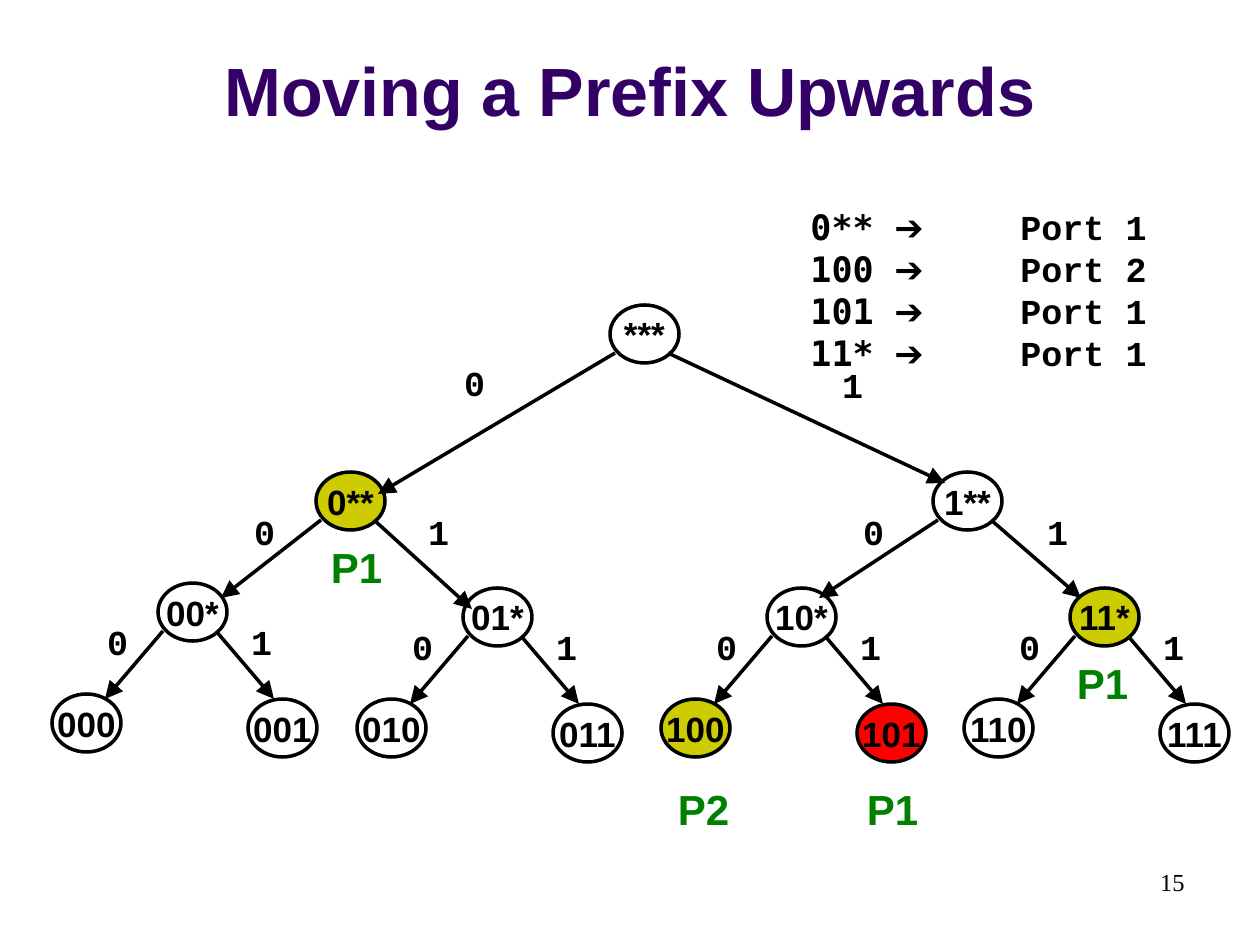
from lxml.etree import SubElement
from pptx import Presentation
from pptx.dml.color import RGBColor
from pptx.enum.shapes import MSO_CONNECTOR, MSO_SHAPE
from pptx.enum.text import MSO_ANCHOR, MSO_AUTO_SIZE, PP_ALIGN
from pptx.oxml.ns import qn
from pptx.util import Pt

PX = 914400 / 126

THEME = {
    "ink": "000000", "paper": "FFFFFF", "marked": "CCCC00", "moved": "FF0000",
    "line": 2,
    "title": dict(name="Arial", size=39, color="330066", bold=True),
    "node": dict(name="Arial", size=20, color="000000", bold=True),
    "bit": dict(name="Courier New", size=20, color="000000", bold=True),
    "prefix": dict(name="DejaVu Sans Mono", size=20, color="000000", bold=True),
    "port": dict(name="Arial", size=24, color="008000", bold=True),
    "number": dict(name="Times New Roman", size=14, color="000000", bold=False),
}

TITLE = "Moving a Prefix Upwards"
ROUTES = [("0**", "Port 1"), ("100", "Port 2"), ("101", "Port 1"), ("11*", "Port 1")]
ROUTE_TABS = (84, 210)
FILLS = {"0**": "marked", "11*": "marked", "100": "marked", "101": "moved"}
PORTS = [("P1", 304, 535), ("P2", 651, 777), ("P1", 840, 777), ("P1", 1050, 651)]

UPPER_NODES = {
    "***": dict(at=(610, 305), ends=[(378, 494), (945, 483)], bits=[(441, 355), (819, 357)]),
    "0**": dict(at=(316, 472), ends=[(221, 598), (472, 609)], bits=[(231, 504), (405, 504)]),
    "1**": dict(at=(933, 472), ends=[(819, 598), (1081, 598)], bits=[(840, 504), (1024, 504)]),
}
LOWER_NODES = {"00*": (158, 583), "01*": (463, 588), "10*": (767, 588), "11*": (1070, 588)}
LEAF_STEPS = [(-106, 111), (90, 116)]
END_STEPS = [(-53, 116), (116, 116)]
BIT_STEPS = [(-74, 31), (70, 31)]
EDGE_STARTS = [(5, 48), (58, 48)]
NODE_SIZE, BIT_SIZE, PORT_SIZE = (69, 58), (67, 54), (105, 63)


def emu(*lengths):
    return [round(v * PX) for v in lengths]


def shift(at, steps):
    return [(at[0] + dx, at[1] + dy) for dx, dy in steps]


def add_run(p, text, style):
    r = p.add_run()
    r.text = text
    values = dict(style, size=Pt(style["size"]))
    r.font.color.rgb = RGBColor.from_string(values.pop("color"))
    for key, value in values.items():
        setattr(r.font, key, value)


def set_frame(tf, **values):
    for key, value in values.items():
        setattr(tf, key, value)


def add_text(slide, text, at, size, style, align=PP_ALIGN.CENTER):
    tf = slide.shapes.add_textbox(*emu(*at, *size)).text_frame
    set_frame(tf, word_wrap=True)
    p = tf.paragraphs[0]
    p.alignment = align
    add_run(p, text, THEME[style])


def add_node(slide, code, at):
    s = slide.shapes.add_shape(MSO_SHAPE.OVAL, *emu(*at, *NODE_SIZE))
    s.shadow.inherit = False
    s.fill.solid()
    s.fill.fore_color.rgb = RGBColor.from_string(THEME[FILLS.get(code, "paper")])
    s.line.color.rgb = RGBColor.from_string(THEME["ink"])
    s.line.width = Pt(THEME["line"])
    set_frame(s.text_frame, word_wrap=False, vertical_anchor=MSO_ANCHOR.MIDDLE)
    p = s.text_frame.paragraphs[0]
    p.alignment = PP_ALIGN.CENTER
    add_run(p, code, THEME["node"])


def add_edge(slide, start, end):
    s = slide.shapes.add_connector(MSO_CONNECTOR.STRAIGHT, *emu(*start, *end))
    s.line.color.rgb = RGBColor.from_string(THEME["ink"])
    s.line.width = Pt(THEME["line"])
    SubElement(s.line._get_or_add_ln(), qn("a:tailEnd"), type="triangle", w="lg", len="lg")
    SubElement(s._element.spPr, qn("a:effectLst"))


def add_branches(slide, at, ends, bits):
    for bit, start, end, label in zip("01", shift(at, EDGE_STARTS), ends, bits):
        add_edge(slide, start, end)
        add_text(slide, bit, label, BIT_SIZE, "bit")


def add_tree(slide):
    branches = list(UPPER_NODES.values())
    nodes = {code: node["at"] for code, node in UPPER_NODES.items()}
    for code, at in LOWER_NODES.items():
        nodes[code] = at
        for bit, leaf in zip("01", shift(at, LEAF_STEPS)):
            nodes[code[:2] + bit] = leaf
        branches.append(dict(at=at, ends=shift(at, END_STEPS), bits=shift(at, BIT_STEPS)))
    for code, at in nodes.items():
        add_node(slide, code, at)
    for branch in branches:
        add_branches(slide, **branch)


def add_routes(slide):
    tf = slide.shapes.add_textbox(*emu(798, 199, 409, 182)).text_frame
    set_frame(tf, word_wrap=True)
    for i, (prefix, port) in enumerate(ROUTES):
        p = tf.add_paragraph() if i else tf.paragraphs[0]
        tabs = SubElement(p._p.get_or_add_pPr(), qn("a:tabLst"))
        for pos in emu(*ROUTE_TABS):
            SubElement(tabs, qn("a:tab"), pos=str(pos), algn="l")
        for text, style in ((prefix + "\t", "prefix"), ("➔\t", "node"), (port, "bit")):
            add_run(p, text, THEME[style])


def add_title(slide):
    s = slide.shapes.title
    s.left, s.top, s.width, s.height = emu(0, 16, 1260, 120)
    set_frame(s.text_frame, word_wrap=True, auto_size=MSO_AUTO_SIZE.NONE,
              vertical_anchor=MSO_ANCHOR.BOTTOM)
    p = s.text_frame.paragraphs[0]
    p.alignment = PP_ALIGN.CENTER
    add_run(p, TITLE, THEME["title"])


def main():
    prs = Presentation()
    prs.slide_width, prs.slide_height = emu(1260, 945)
    slide = prs.slides.add_slide(prs.slide_layouts[5])
    add_title(slide)
    add_tree(slide)
    for port, x, y in PORTS:
        add_text(slide, port, (x, y), PORT_SIZE, "port")
    add_routes(slide)
    add_text(slide, "15", (903, 861), (294, 63), "number", PP_ALIGN.RIGHT)
    prs.save("out.pptx")


if __name__ == "__main__":
    main()
